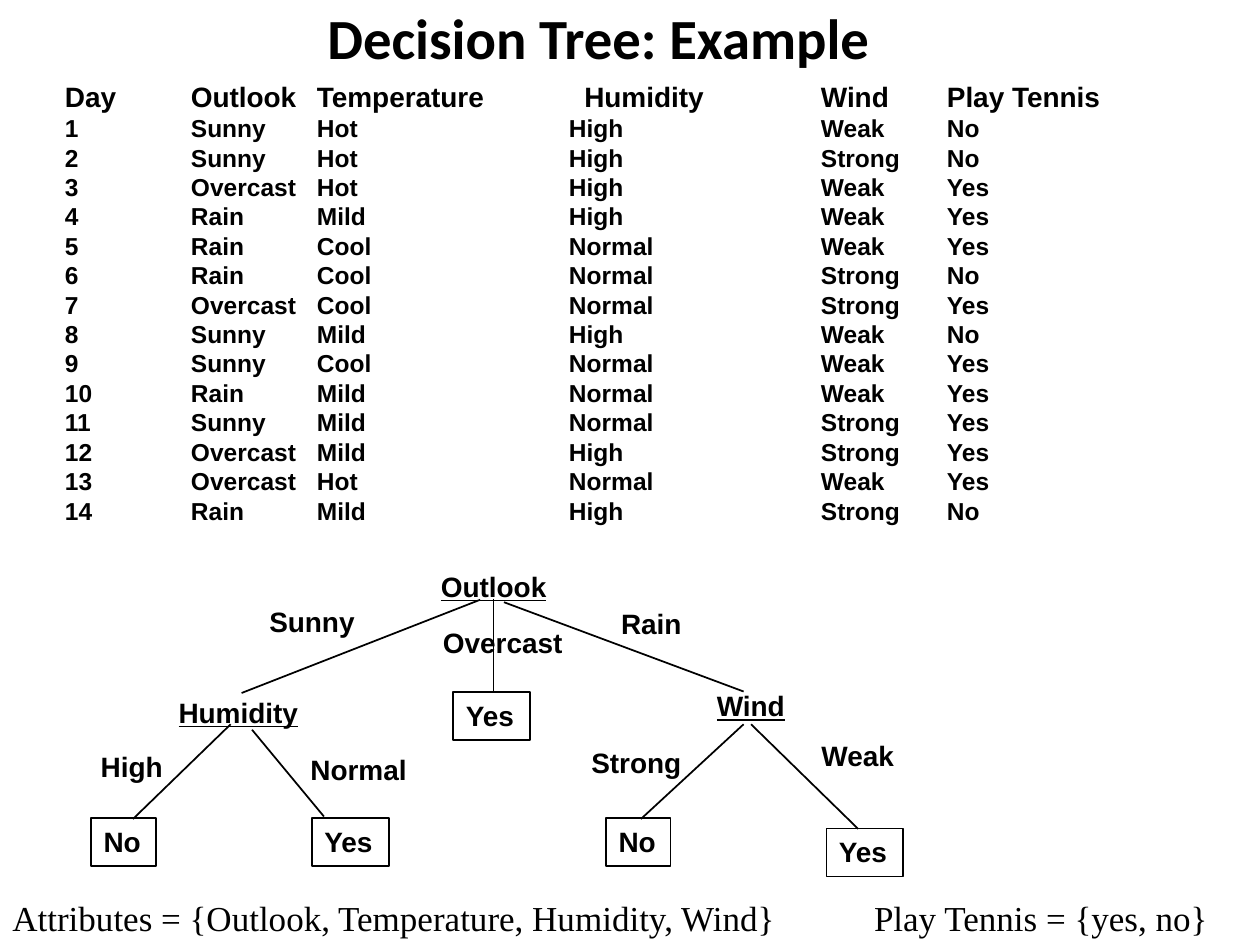
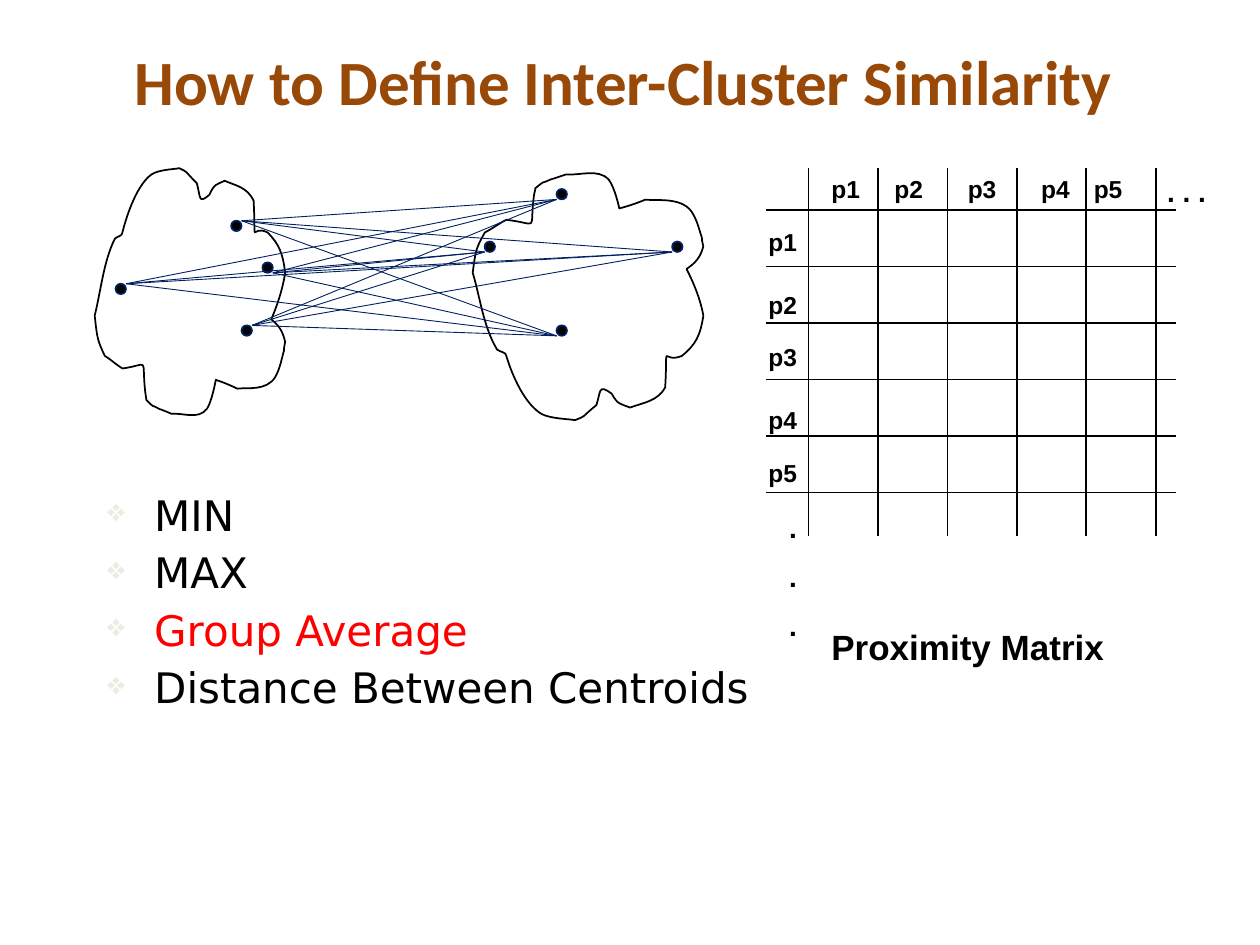
import itertools

import lxml.etree
import pptx
import pptx.dml.color
import pptx.enum.shapes
import pptx.enum.text
import pptx.oxml.ns
import pptx.util

Cm = pptx.util.Cm
Pt = pptx.util.Pt
RGB = pptx.dml.color.RGBColor
SHAPE = pptx.enum.shapes.MSO_SHAPE
qn = pptx.oxml.ns.qn

BLACK = RGB(0x00, 0x00, 0x00)
BROWN = RGB(0x98, 0x48, 0x07)
NAVY = RGB(0x00, 0x20, 0x60)
RED = RGB(0xFF, 0x00, 0x00)
PALE = RGB(0xEE, 0xEC, 0xE1)

HEAD = ("Day", "Outlook", "Temperature", "Humidity", "Wind", "Play Tennis")
DAYS = (
    ("Sunny", "Hot", "High", "Weak", "No"),
    ("Sunny", "Hot", "High", "Strong", "No"),
    ("Overcast", "Hot", "High", "Weak", "Yes"),
    ("Rain", "Mild", "High", "Weak", "Yes"),
    ("Rain", "Cool", "Normal", "Weak", "Yes"),
    ("Rain", "Cool", "Normal", "Strong", "No"),
    ("Overcast", "Cool", "Normal", "Strong", "Yes"),
    ("Sunny", "Mild", "High", "Weak", "No"),
    ("Sunny", "Cool", "Normal", "Weak", "Yes"),
    ("Rain", "Mild", "Normal", "Weak", "Yes"),
    ("Sunny", "Mild", "Normal", "Strong", "Yes"),
    ("Overcast", "Mild", "High", "Strong", "Yes"),
    ("Overcast", "Hot", "Normal", "Weak", "Yes"),
    ("Rain", "Mild", "High", "Strong", "No"),
)
HEAD_TABS = (2.54, 5.08, 10.47, 15.24, 17.78)
DAY_TABS = (2.54, 5.08, 10.16, 15.24, 17.78)

# Tree parts: text, left, top, width in cm
TESTS = (
    ("Outlook", 8.64, 11.35, 2.7),
    ("Humidity", 3.35, 13.89, 3),
    ("Wind", 14.2, 13.76, 2),
)
VALUES = (
    ("Sunny", 5.18, 12.07, 2.4),
    ("Overcast", 8.68, 12.49, 3),
    ("Rain", 12.27, 12.1, 1.9),
    ("High", 1.78, 14.99, 1.9),
    ("Normal", 6.01, 15.04, 3.63),
    ("Strong", 11.67, 14.91, 2.6),
    ("Weak", 16.31, 14.76, 2.1),
)
LEAVES = (
    ("Yes", 9.14, 13.95, 1.55),
    ("No", 1.84, 16.49, 1.3),
    ("Yes", 6.29, 16.49, 1.55),
    ("No", 12.22, 16.49, 1.3),
    ("Yes", 16.66, 16.7, 1.55),
)
EDGES = (
    (9.95, 12.07, 9.95, 13.94),
    (10.16, 12.14, 14.99, 13.94),
    (9.68, 12.09, 4.87, 13.97),
    (4.65, 14.6, 2.68, 16.51),
    (5.08, 14.71, 6.53, 16.46),
    (14.99, 14.6, 12.92, 16.51),
    (15.14, 14.6, 17.3, 16.71),
)

# Cloud outline on a grid of 151 by 200: a start, then Bezier curves
GRID = (151, 200)
START = (16, 56)
CURVES = (
    (7, 74, 5, 97, 0, 117), (2, 135, 2, 136, 8, 149),
    (13, 152, 17, 156, 22, 159), (44, 156, 37, 149, 40, 177),
    (40, 179, 41, 182, 41, 184), (48, 191, 44, 187, 51, 191),
    (54, 192, 61, 195, 61, 195), (70, 194, 82, 200, 89, 191),
    (93, 185, 96, 168, 96, 168), (102, 170, 107, 172, 113, 175),
    (121, 174, 136, 177, 143, 166), (147, 159, 148, 152, 150, 145),
    (150, 142, 151, 138, 151, 138), (149, 129, 146, 125, 140, 120),
    (145, 108, 149, 96, 151, 83), (149, 67, 146, 60, 137, 51),
    (123, 44, 128, 66, 126, 26), (121, 15, 112, 14, 103, 10),
    (97, 13, 95, 12, 91, 21), (82, 29, 84, 23, 81, 12),
    (70, 1, 75, 4, 67, 0), (63, 1, 51, 1, 45, 5),
    (34, 13, 26, 35, 22, 51), (22, 54, 18, 54, 16, 56),
)

DOT = 0.21
# Left points also say how far below their top the links start
LEFT = ((4.87, 6.56, 0), (4.66, 4.45, 0), (2.33, 5.72, 0), (5.29, 5.29, DOT))
RIGHT = ((13.55, 4.87), (9.77, 4.87), (11.22, 6.56), (11.22, 3.81))

ROW_TOPS = (4.45, 5.72, 6.77, 8.04, 9.1)
COL_LEFTS = (16.51, 17.78, 19.26, 20.74, 21.8)
METHODS = (("MIN", BLACK), ("MAX", BLACK), ("Group Average", RED),
           ("Distance Between Centroids", BLACK))


def style(para, size, name="Arial", color=BLACK, bold=True, under=None):
    font = para.font
    font.size, font.name = Pt(size), name
    font.bold, font.underline = bold, under
    font.color.rgb = color


def text(slide, box, lines, size, **look):
    """Add a text box (left, top, width, height in cm), a paragraph a line."""
    frame = slide.shapes.add_textbox(*map(Cm, box)).text_frame
    frame.word_wrap = True
    for i, line in enumerate(lines):
        para = frame.paragraphs[0] if i == 0 else frame.add_paragraph()
        para.text = line
        style(para, size, **look)
    return frame


def title(slide, words, box, size, color=BLACK):
    frame = text(slide, box, [words], size, name="Calibri", color=color)
    frame.vertical_anchor = pptx.enum.text.MSO_ANCHOR.MIDDLE
    frame.paragraphs[0].alignment = pptx.enum.text.PP_ALIGN.CENTER


def line(slide, ends, color=BLACK, width=1):
    link = slide.shapes.add_connector(
        pptx.enum.shapes.MSO_CONNECTOR.STRAIGHT, *map(Cm, ends))
    link.line.color.rgb = color
    link.line.width = Pt(width)
    lxml.etree.SubElement(link._element.spPr, qn("a:effectLst"))


def paint(shape, fill=None, edge=BLACK):
    shape.shadow.inherit = False
    if fill is None:
        shape.fill.background()
    else:
        shape.fill.solid()
        shape.fill.fore_color.rgb = fill
    shape.line.color.rgb = edge
    shape.line.width = Pt(1)


def leaf(slide, words, left, top, width):
    shape = slide.shapes.add_shape(
        SHAPE.RECTANGLE, *map(Cm, (left, top, width, 0.97)))
    paint(shape)
    frame = shape.text_frame
    frame.word_wrap = False
    frame.vertical_anchor = pptx.enum.text.MSO_ANCHOR.TOP
    para = frame.paragraphs[0]
    para.text = words
    para.alignment = pptx.enum.text.PP_ALIGN.LEFT
    style(para, 16)


def dot(slide, left, top):
    shape = slide.shapes.add_shape(
        SHAPE.OVAL, *map(Cm, (left, top, DOT, DOT)))
    paint(shape, BLACK, NAVY)


def bend(shape, curves):
    """Turn the straight sides of a freeform into Bezier curves."""
    sides = list(shape._element.iter(qn("a:lnTo")))
    for side, spots in zip(sides, curves):
        curve = lxml.etree.Element(qn("a:cubicBezTo"))
        for x, y in spots:
            lxml.etree.SubElement(curve, qn("a:pt"), x=str(x - shape.left),
                                  y=str(y - shape.top))
        side.getparent().replace(side, curve)


def cloud(slide, left, top, width, height, flip=False):
    def place(x, y):
        down = GRID[1] - y if flip else y
        return (Cm(left + width * x / GRID[0]),
                Cm(top + height * down / GRID[1]))

    curves = [[place(*c[i:i + 2]) for i in (0, 2, 4)] for c in CURVES]
    form = slide.shapes.build_freeform(*place(*START))
    form.add_line_segments([spots[-1] for spots in curves], close=True)
    shape = form.convert_to_shape()
    bend(shape, curves)
    paint(shape)


def tabs(para, stops):
    group = lxml.etree.Element(qn("a:tabLst"))
    # Tab stops come before the default run settings
    para._p.get_or_add_pPr().insert(0, group)
    for stop in stops:
        lxml.etree.SubElement(group, qn("a:tab"), pos=str(Cm(stop)), algn="l")


def bullet(para):
    props = para._p.get_or_add_pPr()
    props.set("marL", str(Cm(0.95)))
    props.set("indent", str(Cm(-0.95)))
    color = lxml.etree.Element(qn("a:buClr"))
    lxml.etree.SubElement(color, qn("a:srgbClr"), val=str(PALE))
    size = lxml.etree.Element(qn("a:buSzPct"), val="75000")
    mark = lxml.etree.Element(qn("a:buChar"), char="❖")
    for part in (color, size, mark):
        props.find(qn("a:defRPr")).addprevious(part)


def tree(slide):
    for ends in EDGES:
        line(slide, ends)
    for words, left, top, width in TESTS:
        text(slide, (left, top, width, 0.91), [words], 16, under=True)
    for words, left, top, width in VALUES:
        text(slide, (left, top, width, 0.91), [words], 16)
    for part in LEAVES:
        leaf(slide, *part)


def days(slide):
    rows = [HEAD] + [(str(n), *day) for n, day in enumerate(DAYS, 1)]
    frame = text(slide, (1.06, 1.48, 23.32, 9.19),
                 ["\t".join(row) for row in rows], 14)
    first, *rest = frame.paragraphs
    first.font.size = Pt(16)
    tabs(first, HEAD_TABS)
    for para in rest:
        tabs(para, DAY_TABS)


def matrix(slide):
    for i in range(6):
        x, y = 16.3 + 1.4 * i, 4.23 + 1.14 * i
        line(slide, (x, 3.39, x, 10.8))
        line(slide, (15.45, y, 23.7, y))
    for n, (left, top) in enumerate(zip(COL_LEFTS, ROW_TOPS), 1):
        text(slide, (15.24, top, 1.48, 0.85), [f"p{n}"], 14)
        text(slide, (left, 3.39, 1.48, 0.85), [f"p{n}"], 14)
    text(slide, (23.28, 3.39, 1.48, 0.94), [". . ."], 16)
    more = text(slide, (15.66, 10.16, 1.48, 2.97), "...", 16)
    for para in more.paragraphs[1:]:
        para.space_before = Pt(9)
    text(slide, (16.51, 12.48, 6.99, 1.09), ["Proximity Matrix"], 20)


def clusters(slide):
    cloud(slide, 1.91, 3.39, 3.84, 5.08)
    cloud(slide, 9.53, 3.39, 4.65, 5.08, flip=True)
    for spot in LEFT + RIGHT:
        dot(slide, *spot[:2])
    for (x1, y1, drop), (x2, y2) in itertools.product(LEFT, RIGHT):
        line(slide, (x1 + DOT, y1 + drop, x2, y2 + DOT), NAVY, 0.5)


def methods(slide):
    frame = text(slide, (1.91, 9.74, 15.04, 8.69),
                 [words for words, _ in METHODS], 24,
                 name="DejaVu Sans", bold=False)
    for para, (_, color) in zip(frame.paragraphs, METHODS):
        para.font.color.rgb = color
        para.space_before = para.space_after = Pt(2)
        bullet(para)


def main():
    deck = pptx.Presentation()
    deck.slide_width, deck.slide_height = Cm(25.4), Cm(19.05)
    blank = deck.slide_layouts[6]

    slide = deck.slides.add_slide(blank)
    title(slide, "Decision Tree: Example", (1.27, 0, 21.59, 1.5), 32.4)
    days(slide)
    tree(slide)
    for words, left, width in (
            ("Attributes = {Outlook, Temperature, Humidity, Wind}", 0, 17.15),
            ("Play Tennis = {yes, no}", 17.37, 7.59)):
        text(slide, (left, 17.95, width, 1.09), [words], 20,
             name="Times New Roman", bold=False)

    slide = deck.slides.add_slide(blank)
    title(slide, "How to Define Inter-Cluster Similarity",
          (1.06, 0.86, 23.01, 1.52), 36, BROWN)
    matrix(slide)
    clusters(slide)
    methods(slide)

    deck.save("out.pptx")


if __name__ == "__main__":
    main()
